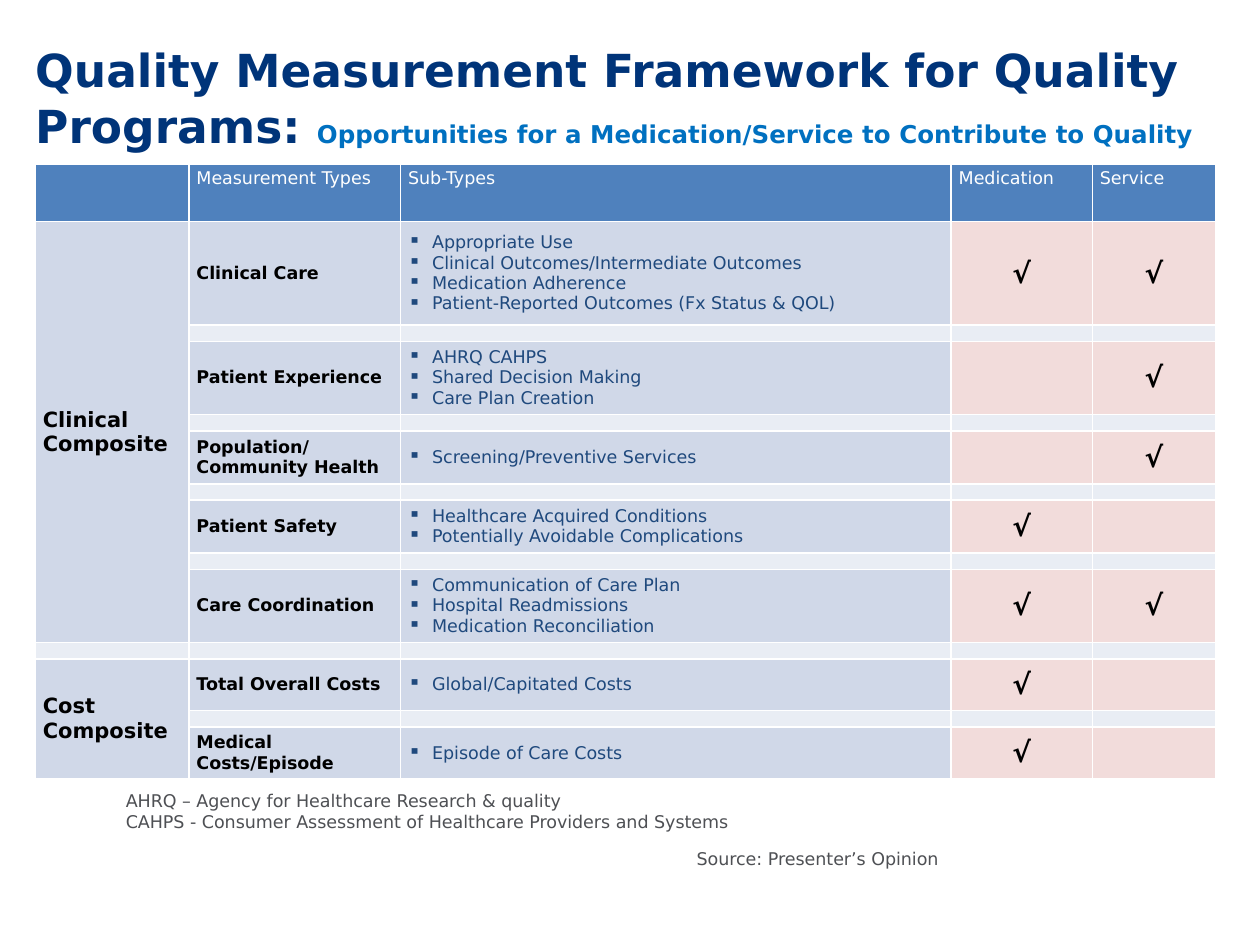
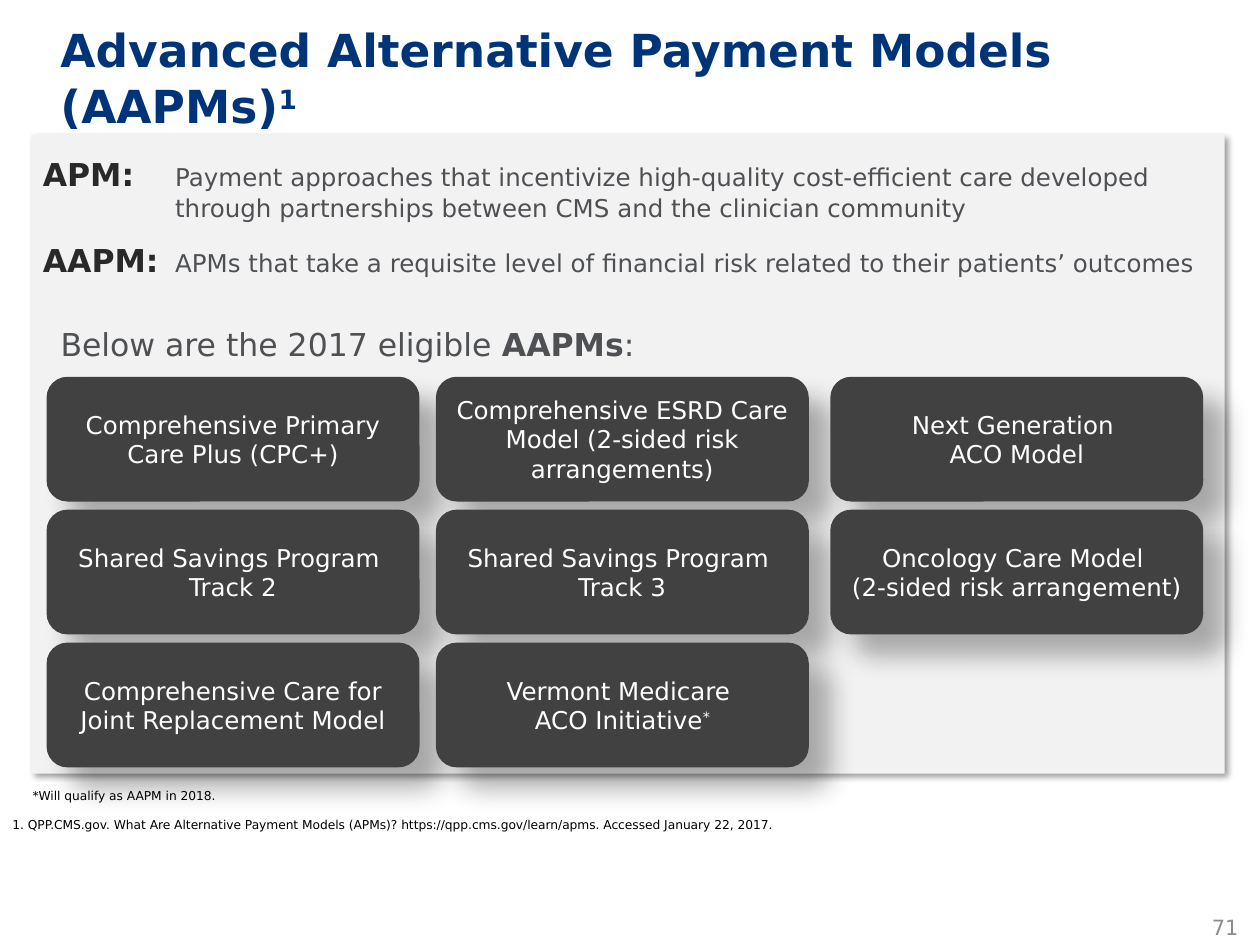
from lxml.etree import SubElement
from pptx import Presentation
from pptx.dml.color import RGBColor
from pptx.enum.shapes import MSO_SHAPE
from pptx.enum.text import MSO_ANCHOR, PP_ALIGN
from pptx.oxml.ns import qn
from pptx.util import Inches, Pt

FONT = "DejaVu Sans"
NAVY = RGBColor(0x00, 0x34, 0x79)
SKY = RGBColor(0x00, 0x70, 0xC0)
INK = RGBColor(0x1F, 0x49, 0x7D)
BLACK = RGBColor(0x00, 0x00, 0x00)
WHITE = RGBColor(0xFF, 0xFF, 0xFF)
GREY = RGBColor(0x4E, 0x50, 0x54)
DARK = RGBColor(0x29, 0x29, 0x29)
PAGE_GREY = RGBColor(0x8C, 0x8C, 0x8C)
PANEL = RGBColor(0xF2, 0xF2, 0xF2)
CARD = RGBColor(0x41, 0x41, 0x41)
HEADER = RGBColor(0x4F, 0x81, 0xBD)
BODY = RGBColor(0xD0, 0xD8, 0xE8)
SPACER = RGBColor(0xE9, 0xED, 0xF4)
MARK = RGBColor(0xF2, 0xDC, 0xDB)

prs = Presentation()
prs.slide_width, prs.slide_height = Inches(10), Inches(7.5)
UNIT = prs.slide_width / 100  # the slide is a grid of 100 columns by 75 rows


def at(*cells):
    return [round(c * UNIT) for c in cells]


def write(target, paras, size=10, color=BLACK, bold=False, italic=False, align=None,
          anchor=MSO_ANCHOR.TOP, ins=(1, 0.5), before=0, spacing=None, indent=0, bullet=None):
    """Fill a shape or table cell; a paragraph is a string or a list of (text, format) runs."""
    tf = target.text_frame
    tf.word_wrap = True
    frame = target if hasattr(target, "margin_left") else tf
    frame.vertical_anchor = anchor
    frame.margin_left = frame.margin_right = at(ins[0])[0]
    frame.margin_top = frame.margin_bottom = at(ins[1])[0]
    for i, para in enumerate(paras):
        p = tf.paragraphs[0] if i == 0 else tf.add_paragraph()
        p.alignment = align
        if spacing:
            p.line_spacing = Pt(spacing)
        if before and i:
            p.space_before = Pt(before)
        pPr = p._p.get_or_add_pPr()
        if indent:
            pPr.set("marL", str(at(indent)[0]))
            pPr.set("indent", str(-at(indent)[0]))
        if bullet:
            SubElement(pPr, qn("a:buChar")).set("char", bullet)
        for text, fmt in [(para, {})] if isinstance(para, str) else para:
            for j, line in enumerate(text.split("\n")):
                if j:
                    p.add_line_break()
                r = p.add_run()
                r.text = line
                r.font.name = FONT
                r.font.size = Pt(fmt.get("size", size))
                r.font.bold = fmt.get("bold", bold)
                r.font.italic = italic
                r.font.color.rgb = fmt.get("color", color)
                if fmt.get("raised"):
                    r._r.get_or_add_rPr().set("baseline", "30000")


TITLE = dict(size=26, color=NAVY, bold=True, spacing=32, ins=(0, 0))
RAISED = dict(raised=True)

# Slide 1: title and notes
s = prs.slides.add_slide(prs.slide_layouts[6])
write(s.shapes.add_textbox(*at(2.8, 1.2, 94.7, 10.9)),
      [[("Quality Measurement Framework for Quality Programs: ", {}),
        ("Opportunities for a Medication/Service to Contribute to Quality",
         dict(size=14, color=SKY))]], anchor=MSO_ANCHOR.BOTTOM, **TITLE)
write(s.shapes.add_textbox(*at(54.3, 66.8, 35.1, 2.7)), ["Source: Presenter’s Opinion"], color=GREY)
write(s.shapes.add_textbox(*at(9, 62.2, 68.4, 4.4)),
      ["AHRQ – Agency for Healthcare Research & quality",
       "CAHPS - Consumer Assessment of Healthcare Providers and Systems"], color=GREY)

# Slide 1: measures as height, type, sub-types, medication, service
measures = [
    (8.2, ["Clinical Care"],
     ["Appropriate Use", "Clinical Outcomes/Intermediate Outcomes", "Medication Adherence",
      "Patient-Reported Outcomes (Fx Status & QOL)"], True, True),
    (5.8, ["Patient Experience"],
     ["AHRQ CAHPS", "Shared Decision Making", "Care Plan Creation"], False, True),
    (4.2, ["Population/", "Community Health"], ["Screening/Preventive Services"], False, True),
    (4.2, ["Patient Safety"],
     ["Healthcare Acquired Conditions", "Potentially Avoidable Complications"], True, False),
    (5.8, ["Care Coordination"],
     ["Communication of Care Plan", "Hospital Readmissions", "Medication Reconciliation"],
     True, True),
    (4.1, ["Total Overall Costs"], ["Global/Capitated Costs"], True, False),
    (4.1, ["Medical Costs/Episode"], ["Episode of Care Costs"], True, False),
]
headers = ["", "Measurement Types", "Sub-Types", "Medication", "Service"]
widths = [12.2, 16.8, 43.7, 11.2, 9.8]
heights = [4.6]
for m in measures:
    heights += [m[0], 1.3]
heights.pop()  # no spacer after the last measure

tbl = s.shapes.add_table(len(heights), len(widths),
                         *at(2.8, 13, sum(widths), sum(heights))).table
tbl.horz_banding = False
for col, width in zip(tbl.columns, at(*widths)):
    col.width = width
for row, height in zip(tbl.rows, at(*heights)):
    row.height = height

CELL = dict(ins=(0.6, 0.4))
MIDDLE = dict(CELL, anchor=MSO_ANCHOR.MIDDLE)
for c, label in enumerate(headers):
    cell = tbl.cell(0, c)
    cell.fill.solid()
    cell.fill.fore_color.rgb = HEADER
    if label:
        write(cell, [label], color=WHITE, **CELL)

# Spacer rows, thin enough only with a tiny empty line
for y in range(2, len(heights), 2):
    for c in range(len(widths)):
        cell = tbl.cell(y, c)
        cell.fill.solid()
        cell.fill.fore_color.rgb = SPACER
        cell.margin_top = cell.margin_bottom = 0
        SubElement(cell.text_frame.paragraphs[0]._p, qn("a:endParaRPr")).set("sz", "500")

# Measure rows
for i, (_, kind, subtypes, *marks) in enumerate(measures):
    y = 2 * i + 1
    for c in range(len(widths)):
        cell = tbl.cell(y, c)
        cell.fill.solid()
        cell.fill.fore_color.rgb = BODY if c < 3 else MARK
    write(tbl.cell(y, 1), kind, bold=True, **MIDDLE)
    write(tbl.cell(y, 2), subtypes, color=INK, indent=1.9, bullet="▪", **MIDDLE)
    for c, marked in enumerate(marks, 3):
        if marked:
            write(tbl.cell(y, c), ["√"], size=16, bold=True, italic=True,
                  align=PP_ALIGN.CENTER, **MIDDLE)

# Composite labels down the first column
for first, last, label in [(1, 9, "Clinical Composite"), (11, 13, "Cost Composite")]:
    tbl.cell(first, 0).merge(tbl.cell(last, 0))
    write(tbl.cell(first, 0), [label], size=12, bold=True, **MIDDLE)

# Slide 2: title and page number
s = prs.slides.add_slide(prs.slide_layouts[6])
write(s.shapes.add_textbox(*at(4.8, 1.6, 90.9, 8.7)),
      [[("Advanced Alternative Payment Models (AAPMs)", {}), ("1", RAISED)]], **TITLE)
write(s.shapes.add_textbox(*at(94.2, 72.6, 4.1, 1.2)), ["71"], size=12, color=PAGE_GREY,
      align=PP_ALIGN.RIGHT, ins=(0, 0))

# Slide 2: panel and a grid of model cards, each with its shadow (alpha %, blur, distance)
models = [
    ["Comprehensive Primary Care Plus (CPC+)"],
    ["Comprehensive ESRD Care Model (2-sided risk arrangements)"],
    ["Next Generation \nACO Model"],
    ["Shared Savings Program \nTrack 2"],
    ["Shared Savings Program \nTrack 3"],
    ["Oncology Care Model \n(2-sided risk arrangement)"],
    ["Comprehensive Care for Joint Replacement Model"],
    ["Vermont Medicare ", [("ACO Initiative", {}), ("*", RAISED)]],
]
lefts = [3.7, 34.6, 65.9]
blocks = [(MSO_SHAPE.RECTANGLE, (2.5, 10.7, 94.7, 50.7), PANEL, [], (40, 4, 3))]
for i, model in enumerate(models):
    place = (lefts[i % 3], 29.9 + 10.55 * (i // 3), 29.6, 9.9)
    blocks.append((MSO_SHAPE.ROUNDED_RECTANGLE, place, CARD, model, (30, 15, 18)))

for kind, place, fill, paras, (alpha, blur, dist) in blocks:
    sp = s.shapes.add_shape(kind, *at(*place))
    sp.fill.solid()
    sp.fill.fore_color.rgb = fill
    sp.line.fill.background()
    sp.shadow.inherit = False
    effects = sp._element.spPr.find(qn("a:effectLst"))
    shadow = SubElement(effects, qn("a:outerShdw"), blurRad=str(Pt(blur)), dist=str(Pt(dist)),
                        dir=str(45 * 60000), algn="tl", rotWithShape="0")
    clr = SubElement(shadow, qn("a:srgbClr"), val="000000")
    SubElement(clr, qn("a:alpha"), val=str(alpha * 1000))
    write(sp, paras, size=14, color=WHITE, align=PP_ALIGN.CENTER,
          anchor=MSO_ANCHOR.MIDDLE, ins=(0.8, 0))

# Slide 2: definitions, lead-in and footnotes
TERM = dict(size=18, color=DARK, bold=True)
write(s.shapes.add_textbox(*at(2.5, 11.9, 94.7, 10.8)),
      [[("APM: \t", TERM),
        ("Payment approaches that incentivize high-quality cost-efficient care developed "
         "through partnerships between CMS and the clinician community", {})],
       [("AAPM: \t", TERM),
        ("APMs that take a requisite level of financial risk related to their patients’ outcomes",
         {})]], size=14, color=GREY, before=10.6, indent=10.5, ins=(0.9, 0.4))
write(s.shapes.add_textbox(*at(3.9, 25.4, 79.5, 3.9)),
      [[("Below are the 2017 eligible ", {}), ("AAPMs", dict(bold=True)), (":", {})]],
      size=18, color=GREY, ins=(0.9, 0.4))
footnotes = [
    (0, 64.3, "1. QPP.CMS.gov. What Are Alternative Payment Models (APMs)? "
              "https://qpp.cms.gov/learn/apms. Accessed January 22, 2017."),
    (1.6, 62, "*Will qualify as AAPM in 2018."),
]
for x, y, note in footnotes:
    write(s.shapes.add_textbox(*at(x, y, 95.8, 2.2)), [note], size=7, anchor=MSO_ANCHOR.BOTTOM)

prs.save("out.pptx")
